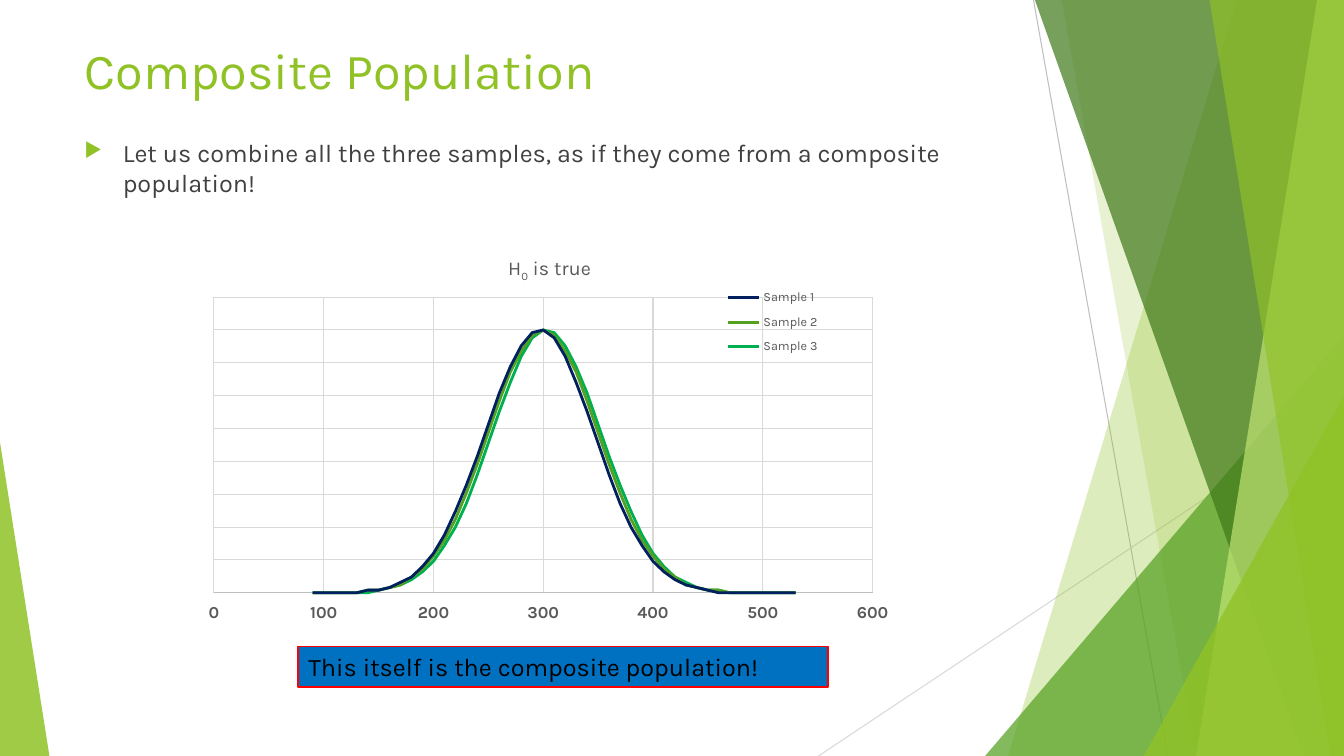
from math import exp

from lxml import etree
from pptx import Presentation
from pptx.chart.data import XyChartData
from pptx.dml.color import RGBColor
from pptx.enum.chart import XL_CHART_TYPE, XL_LEGEND_POSITION, XL_TICK_LABEL_POSITION, XL_TICK_MARK
from pptx.enum.shapes import MSO_CONNECTOR, MSO_SHAPE
from pptx.enum.text import MSO_ANCHOR, PP_ALIGN
from pptx.oxml.ns import qn
from pptx.util import Inches, Pt

SCATTER = XL_CHART_TYPE.XY_SCATTER_SMOOTH_NO_MARKERS
LEGEND_BOTTOM = XL_LEGEND_POSITION.BOTTOM
NO_TICK = XL_TICK_MARK.NONE
LABELS_LOW = XL_TICK_LABEL_POSITION.LOW
STRAIGHT = MSO_CONNECTOR.STRAIGHT
TRIANGLE = MSO_SHAPE.ISOSCELES_TRIANGLE
RECTANGLE = MSO_SHAPE.RECTANGLE
MIDDLE = MSO_ANCHOR.MIDDLE
LEFT = PP_ALIGN.LEFT

# The slide is a grid of 100 columns by 100 rows
WIDTH, HEIGHT = Inches(13.33), Inches(7.5)
COLUMN, ROW = WIDTH / 100, HEIGHT / 100
TITLE_ONLY = 5
FONT = "Karla"
COLORS = {
    "lime": "90C226", "green": "54A021", "forest": "3F7819", "pale": "C0E474",
    "text": "404040", "label": "595959", "black": "000000",
    "axis": "BFBFBF", "grid": "D9D9D9", "navy": "002060", "emerald": "00B050",
    "blue": "0070C0", "red": "FF0000",
}

# Name, mean and colour of each normal curve
SAMPLES = [("Sample 1", 297, "navy"), ("Sample 2", 300, "green"), ("Sample 3", 303, "emerald")]
DEVIATION, PEAK = 50, 100


def color(name):
    return RGBColor.from_string(COLORS[name])


def box(left, top, width, height):
    return [round(left * COLUMN), round(top * ROW), round(width * COLUMN), round(height * ROW)]


def style_font(font, size, name, bold=False):
    font.name, font.size, font.bold = FONT, Pt(size), bold
    font.color.rgb = color(name)


def style_line(line, name, width=0.75):
    line.color.rgb = color(name)
    line.width = Pt(width)


def fill_translucent(shape, name, percent):
    shape.shadow.inherit = False
    shape.fill.solid()
    shape.fill.fore_color.rgb = color(name)
    shape.line.fill.background()
    tint = shape.fill._xPr.find(qn("a:solidFill"))[0]
    etree.SubElement(tint, qn("a:alpha"), val=str(percent * 1000))


def add_line(slide, start, end, name):
    x1, y1, x2, y2 = box(*start, *end)
    connector = slide.shapes.add_connector(STRAIGHT, x1, y1, x2, y2)
    style_line(connector.line, name)
    etree.SubElement(connector._element.spPr, qn("a:effectLst"))


def add_facet(slide, top_left, bottom_left, name, percent):
    """Full-height panel from a slanted left edge to the slide's right edge."""
    builder = slide.shapes.build_freeform(top_left, 0, scale=(COLUMN, ROW))
    builder.add_line_segments([(100, 0), (100, 100), (bottom_left, 100)], close=True)
    fill_translucent(builder.convert_to_shape(), name, percent)


def add_corner(slide, left, top, width, apex, name, percent):
    shape = slide.shapes.add_shape(TRIANGLE, *box(left, top, width, 100 - top))
    shape.adjustments[0] = apex
    fill_translucent(shape, name, percent)


def add_background(slide):
    add_line(slide, (76.9, 0), (86.9, 100), "axis")
    add_line(slide, (100, 53.7), (60.9, 100), "grid")
    add_facet(slide, 92.1, 75.3, "lime", 30)
    add_facet(slide, 78.8, 88.7, "lime", 20)
    add_corner(slide, 73.3, 44.4, 26.7, 1, "green", 72)
    add_facet(slide, 76.6, 96.8, "forest", 70)
    add_facet(slide, 97.7, 89.4, "pale", 70)
    add_facet(slide, 89.7, 98.9, "lime", 65)
    add_corner(slide, 85.1, 52.4, 14.9, 1, "lime", 80)
    add_corner(slide, 0, 58.5, 3.68, 0, "lime", 85)


def set_title(slide, text):
    title = slide.shapes.title
    title.left, title.top, title.width, title.height = box(5.55, 4.1, 70.5, 10.1)
    title.text_frame.text = text
    title.text_frame.vertical_anchor = MIDDLE
    paragraph = title.text_frame.paragraphs[0]
    paragraph.alignment = LEFT
    style_font(paragraph.font, 36, "lime")


def add_bullet(slide, text):
    frame = slide.shapes.add_textbox(*box(5.55, 17.5, 70.5, 69.2)).text_frame
    frame.word_wrap = True
    paragraph = frame.paragraphs[0]
    paragraph.text = text
    paragraph.space_before = Pt(10)
    style_font(paragraph.font, 18, "text")
    properties = paragraph._p.get_or_add_pPr()
    properties.set("marL", str(Inches(0.38)))
    properties.set("indent", str(-Inches(0.38)))
    # Bullet elements stand between the spacing and the font defaults
    defaults = properties.find(qn("a:defRPr"))
    tint = etree.Element(qn("a:buClr"))
    etree.SubElement(tint, qn("a:srgbClr"), val=COLORS["lime"])
    for element in (tint, etree.Element(qn("a:buSzPct"), val="80000"),
                    etree.Element(qn("a:buChar"), char="▶")):
        defaults.addprevious(element)


def make_layout(x, y, width, height, inner=False):
    """Manual chart layout, in shares of the chart's size."""
    layout = etree.Element(qn("c:layout"))
    manual = etree.SubElement(layout, qn("c:manualLayout"))
    if inner:
        etree.SubElement(manual, qn("c:layoutTarget"), val="inner")
    for tag in ("xMode", "yMode"):
        etree.SubElement(manual, qn("c:" + tag), val="edge")
    for tag, value in zip("xywh", (x, y, width, height)):
        etree.SubElement(manual, qn("c:" + tag), val=str(value))
    return layout


def replace_layout(parent, index, layout):
    for old in parent.findall(qn("c:layout")):
        parent.remove(old)
    parent.insert(index, layout)


def format_axes(chart):
    for axis, maximum, step in ((chart.category_axis, 600, 100), (chart.value_axis, 112.5, 12.5)):
        axis.minimum_scale, axis.maximum_scale, axis.major_unit = 0, maximum, step
        axis.has_major_gridlines = True
        axis.major_tick_mark = axis.minor_tick_mark = NO_TICK
        style_line(axis.major_gridlines.format.line, "grid")
    scores = chart.category_axis
    scores.tick_label_position = LABELS_LOW
    style_font(scores.tick_labels.font, 12, "label", bold=True)
    style_line(scores.format.line, "axis")
    chart.value_axis.visible = False


def add_curves(slide):
    data = XyChartData(number_format="General")
    for name, mean, _ in SAMPLES:
        series = data.add_series(name)
        for x in range(90, 531, 10):
            series.add_data_point(x, round(PEAK * exp(-(((x - mean) / DEVIATION) ** 2) / 2)))
    chart = slide.shapes.add_chart(SCATTER, *box(14.55, 31.6, 52.7, 55.1), data).chart
    style_font(chart.font, 10, "black")
    plot = chart.plots[0]
    plot.vary_by_categories = False
    for series, (_, _, name) in zip(plot.series, SAMPLES):
        series.smooth = True
        style_line(series.format.line, name, 2)
    format_axes(chart)

    # Title with a lowered zero
    paragraph = chart.chart_title.text_frame.paragraphs[0]
    style_font(paragraph.font, 14, "label")
    for text in ("H", "0", " is true"):
        run = paragraph.add_run()
        run.text = text
        style_font(run.font, 14, "label")
    paragraph.runs[1].font._element.set("baseline", "-25000")

    # Legend inside the plot's upper right corner
    chart.has_legend = True
    legend = chart.legend
    legend.position = LEGEND_BOTTOM
    legend.include_in_layout = False
    style_font(legend.font, 9, "label")
    replace_layout(legend._element, 1, make_layout(0.74, 0.1, 0.15, 0.2))
    plot_area = chart._chartSpace.chart.plotArea
    replace_layout(plot_area, 0, make_layout(0.026, 0.14, 0.93, 0.71, inner=True))


def add_callout(slide, text):
    shape = slide.shapes.add_shape(RECTANGLE, *box(22.2, 85.5, 39.4, 5.33))
    shape.shadow.inherit = False
    shape.fill.solid()
    shape.fill.fore_color.rgb = color("blue")
    style_line(shape.line, "red", 1.25)
    shape.text_frame.text = text
    paragraph = shape.text_frame.paragraphs[0]
    paragraph.alignment = LEFT
    style_font(paragraph.font, 18, "black")


def main():
    presentation = Presentation()
    presentation.slide_width, presentation.slide_height = WIDTH, HEIGHT
    slide = presentation.slides.add_slide(presentation.slide_layouts[TITLE_ONLY])
    add_background(slide)
    set_title(slide, "Composite Population")
    add_bullet(slide, "Let us combine all the three samples, as if they come from a composite population!")
    add_curves(slide)
    add_callout(slide, "This itself is the composite population!")
    presentation.save("out.pptx")


if __name__ == "__main__":
    main()
